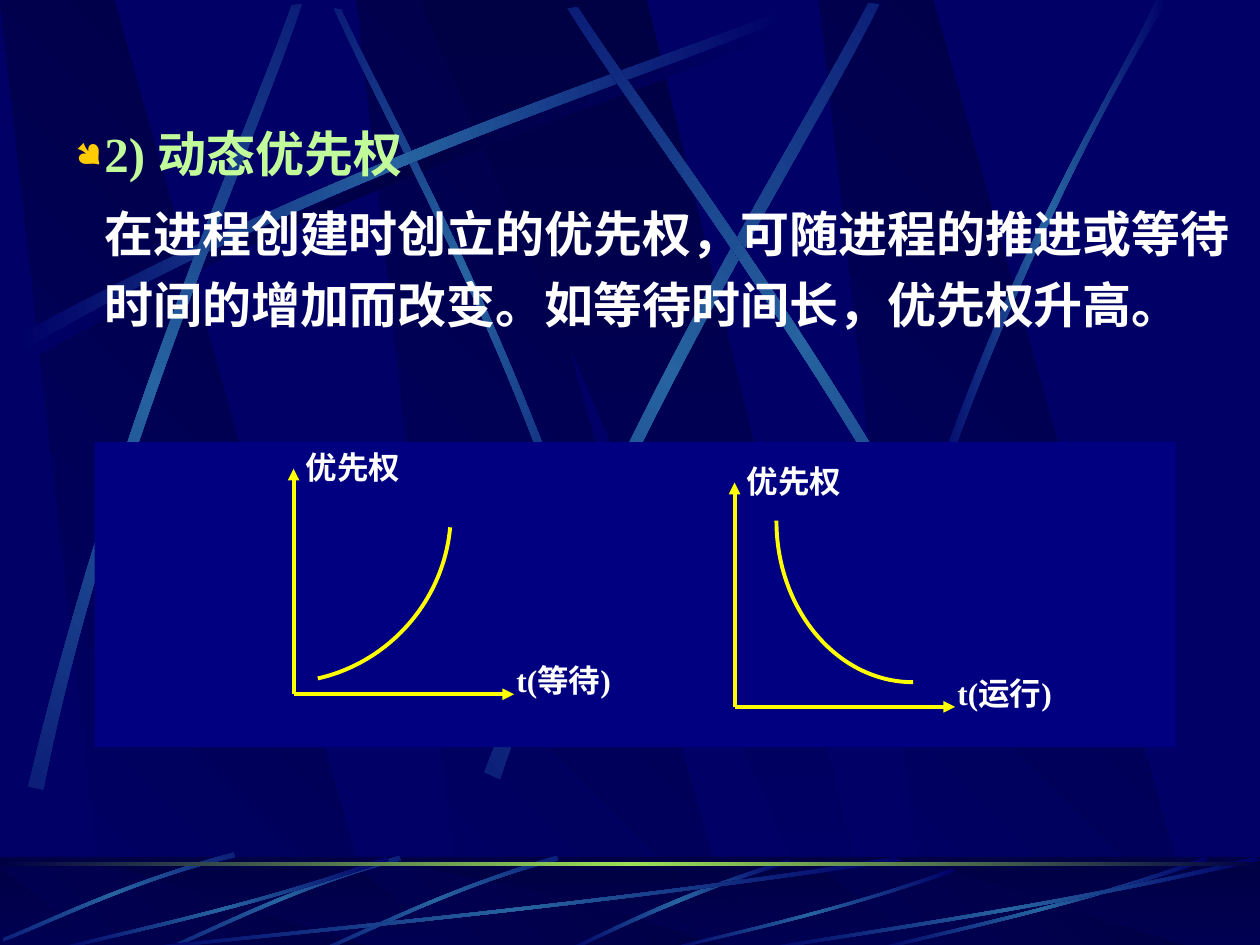
from dataclasses import dataclass
from lxml.etree import SubElement
from pptx import Presentation
from pptx.dml.color import RGBColor
from pptx.enum.shapes import MSO_CONNECTOR as CONN, MSO_SHAPE as SHAPE
from pptx.enum.text import MSO_AUTO_SIZE as FIT
from pptx.oxml.ns import qn
from pptx.util import Emu, Inches, Pt


@dataclass(frozen=True)
class Theme:
    """Colours, type sizes and fonts of the slide."""
    night: str = "000066"
    dark: str = "000044"
    beam: str = "2663A0"
    rule: str = "9CE157"
    panel: str = "000080"
    curve: str = "FFFF00"
    heading: str = "C2FC9A"
    bullet: str = "FFCC00"
    text: str = "FFFFFF"
    font: str = "Times New Roman"
    bullet_font: str = "Wingdings"
    body_size: float = 28
    label_size: float = 18
    stroke: float = 2.25


T = Theme()
WIDTH, HEIGHT = Inches(10), Inches(7.5)
COLS, ROWS = 10, 7.5
SHADE, GLOW = (T.night, T.dark), (T.night, T.beam, T.night)
RULE = (T.dark, T.rule, T.dark)
BAND = [(0.28, 1), (1, 1), (0.3, 0), (0, 0)]
WEDGE = [(0, 0), (0.9, 1), (1, 1), (0.5, 0)]
STREAK = [(0, 0.96), (0.43, 0.43), (0.83, 0.15), (0.99, 0),
          (1, 0.02), (0.83, 0.19), (0.38, 0.5), (0.01, 1)]
CUT_TOP = [(0, 0.99), (0.4, 0.44), (0.79, 0.17), (0.95, 0),
           (1, 0), (0.52, 0.37), (0.16, 0.81), (0.03, 1)]
CUT_BOTTOM = [(0, 0.99), (0.16, 0.82), (0.49, 0.37), (0.99, 0),
              (1, 0.04), (0.68, 0.25), (0.23, 0.75), (0.03, 1)]


def x(col):
    """Convert grid columns to a length."""
    return Emu(round(col * WIDTH / COLS))


def y(row):
    """Convert grid rows to a length."""
    return Emu(round(row * HEIGHT / ROWS))


def place(box):
    """Convert a grid box to left, top, width and height."""
    return x(box[0]), y(box[1]), x(box[2]), y(box[3])


def rgb(color):
    """Read a hex colour."""
    return RGBColor.from_string(color)


def outline(shapes, unit, box, closed=True):
    """Draw a freeform from unit points scaled into a box."""
    left, top, w, h = box
    pts = [(x(left + u * w), y(top + v * h)) for u, v in unit]
    fb = shapes.build_freeform(*pts[0], scale=1.0)
    fb.add_line_segments(pts[1:], close=closed)
    s = fb.convert_to_shape()
    s.shadow.inherit = False
    return s


def bend(s, starts):
    """Turn three segments from each start into one cubic curve."""
    lines = list(s._element.spPr.iter(qn("a:lnTo")))
    for n in starts:
        cubic = lines[n].makeelement(qn("a:cubicBezTo"))
        lines[n].addprevious(cubic)
        for line in lines[n:n + 3]:
            cubic.append(line[0])
            line.getparent().remove(line)


def shade(s, colors, angle):
    """Fill a shape with evenly spaced gradient stops and no line."""
    s.line.fill.background()
    s.fill.gradient()
    s.fill.gradient_angle = (360 - angle) % 360
    stops = s._element.spPr.find(qn("a:gradFill")).find(qn("a:gsLst"))
    stops.clear()
    for n, color in enumerate(colors):
        gs = SubElement(stops, qn("a:gs"), pos=str(100000 * n // (len(colors) - 1)))
        SubElement(gs, qn("a:srgbClr"), val=color)


def block(shapes, box):
    """Add a rectangle without line or shadow."""
    s = shapes.add_shape(SHAPE.RECTANGLE, *place(box))
    s.shadow.inherit = False
    s.line.fill.background()
    return s


def streak(shapes, box, rot=0, flip_x=False, flip_y=False, unit=STREAK, colors=GLOW):
    """Draw a tapering light streak in a box."""
    points = [(1 - u if flip_x else u, 1 - v if flip_y else v) for u, v in unit]
    s = outline(shapes, points, box)
    bend(s, (0, 4))
    shade(s, colors, 0)
    s.rotation = rot


def stripes(shapes, box):
    """Draw the three slanted bands and the wedge across a box."""
    left, top, w, h = box
    for share in (0.283, 0, 0.65):
        band = (left + share * w, top, 0.302 * w, h)
        shade(outline(shapes, BAND, band), SHADE, 315)
    wedge = (left + 0.333 * w, top, 0.361 * w, h)
    shade(outline(shapes, WEDGE, wedge), SHADE[::-1], 90)


def sky(shapes, box):
    """Draw the upper backdrop with its long streaks."""
    stripes(shapes, box)
    streak(shapes, (0.2, 0.18, 6.08, 2.67), colors=(T.night, T.dark, T.night))
    streak(shapes, (1.41, 1.35, 4.42, 1.75), 45, True)
    streak(shapes, (0.14, 0.1, 6.08, 2.67))
    streak(shapes, (-1.71, 1.82, 6.08, 2.67), 311.7)
    streak(shapes, (2.31, 1.6, 6.24, 3.01), 321.6)
    streak(shapes, (3.23, 1.52, 6.08, 2.67), 34.8, True)
    streak(shapes, (7.38, 0, 1.89, 3.97), unit=CUT_TOP)


def footer(shapes, box):
    """Draw the lower backdrop with its short streaks and rule."""
    left, top, w, h = box
    shade(block(shapes, box), SHADE[::-1], 90)
    stripes(shapes, (left, top + 0.08, w, 0.66))
    veil = block(shapes, box)
    veil.fill.solid()
    veil.fill.fore_color.rgb = rgb(T.dark)
    color = veil._element.spPr.find(qn("a:solidFill"))[0]
    SubElement(color, qn("a:alpha"), val="50000")
    streak(shapes, (4.48, top + 0.02, 1.8, 0.73), unit=CUT_BOTTOM)
    for start, rise, width, height in ((2.58, 0.04, 1.84, 0.83), (1.33, 0.04, 1.84, 0.83),
                                       (0.05, 0.1, 1.79, 0.85)):
        streak(shapes, (start, top - rise, width, height), 314.9, True)
    for start, drop, width in ((1, 0, 6.17), (0.42, 0, 2.67), (5.27, 0.09, 2.31),
                               (6.92, 0, 2.67), (6, 0, 4)):
        streak(shapes, (start, top + drop, width, h - drop), flip_x=True, flip_y=True)
    shade(block(shapes, (left, top + 0.04, w, 0.03)), RULE, 0)


def write(p, text, size, color):
    """Add one bold run to a paragraph."""
    r = p.add_run()
    r.text = text
    r.font.name, r.font.size, r.font.bold = T.font, Pt(size), True
    r.font.color.rgb = rgb(color)


def textbox(shapes, box):
    """Add a wrapping text box and return its frame."""
    tf = shapes.add_textbox(*place(box)).text_frame
    tf.word_wrap, tf.auto_size = True, FIT.SHAPE_TO_FIT_TEXT
    return tf


def body(shapes, box):
    """Write the bulleted heading and its explanation."""
    tf = textbox(shapes, box)
    lines = (("2) 动态优先权", T.heading),
             ("在进程创建时创立的优先权，可随进程的推进或等待时间的增加而改变。"
              "如等待时间长，优先权升高。", T.text))
    for n, (text, color) in enumerate(lines):
        p = tf.add_paragraph() if n else tf.paragraphs[0]
        p.line_spacing, p.space_before = 1.2, Pt(5.2 if n else 0)
        pPr = p._p.get_or_add_pPr()
        pPr.set("marL", str(x(0.5)))
        pPr.set("indent", str(0 if n else -x(0.23)))
        if n:
            SubElement(pPr, qn("a:buNone"))
        else:
            SubElement(SubElement(pPr, qn("a:buClr")), qn("a:srgbClr"), val=T.bullet)
            SubElement(pPr, qn("a:buSzPct"), val="70000")
            SubElement(pPr, qn("a:buFont"), typeface=T.bullet_font)
            SubElement(pPr, qn("a:buChar"), char="●")
        write(p, text, T.body_size, color)


def graph(shapes, box, time_label, points):
    """Draw two axes, their labels and a curve; points are shares of the box."""
    left, top, w, h = box
    base = top + h
    for end in ((left + w, base), (left, top)):
        s = shapes.add_connector(CONN.STRAIGHT, x(left), y(base), x(end[0]), y(end[1]))
        s.line.color.rgb, s.line.width = rgb(T.curve), Pt(T.stroke)
        SubElement(s.line._get_or_add_ln(), qn("a:tailEnd"), type="triangle")
        SubElement(s._element.spPr, qn("a:effectLst"))
    for text, label in ((time_label, (left + w - 0.08, base - 0.31, 1.25, 0.4)),
                        ("优先权", (left, top - 0.21, 1.08, 0.4))):
        write(textbox(shapes, label).paragraphs[0], text, T.label_size, T.text)
    s = outline(shapes, points, box, closed=False)
    bend(s, (0,))
    s.fill.background()
    s.line.color.rgb, s.line.width = rgb(T.curve), Pt(T.stroke)


def chart_panel(shapes, box):
    """Draw the panel with the waiting and running graphs."""
    s = block(shapes, box)
    s.fill.solid()
    s.fill.fore_color.rgb = rgb(T.panel)
    left, top = box[:2]
    graph(shapes, (left + 1.58, top + 0.21, 1.75, 1.79), "t(等待)",
          [(0.11, 0.93), (0.43, 0.86), (0.68, 0.59), (0.71, 0.26)])
    graph(shapes, (left + 5.08, top + 0.32, 1.75, 1.78), "t(运行)",
          [(0.81, 0.89), (0.47, 0.89), (0.19, 0.57), (0.19, 0.17)])


def main():
    """Build and save the slide."""
    prs = Presentation()
    prs.slide_width, prs.slide_height = WIDTH, HEIGHT
    slide = prs.slides.add_slide(prs.slide_layouts[6])
    slide.background.fill.solid()
    slide.background.fill.fore_color.rgb = rgb(T.night)
    sky(slide.shapes, (0, 0, COLS, ROWS))
    footer(slide.shapes, (0, 6.8, COLS, 0.75))
    chart_panel(slide.shapes, (0.75, 3.51, 8.58, 2.42))
    body(slide.shapes, (0.23, 0.84, 9.77, 1.86))
    prs.save("out.pptx")


if __name__ == "__main__":
    main()
